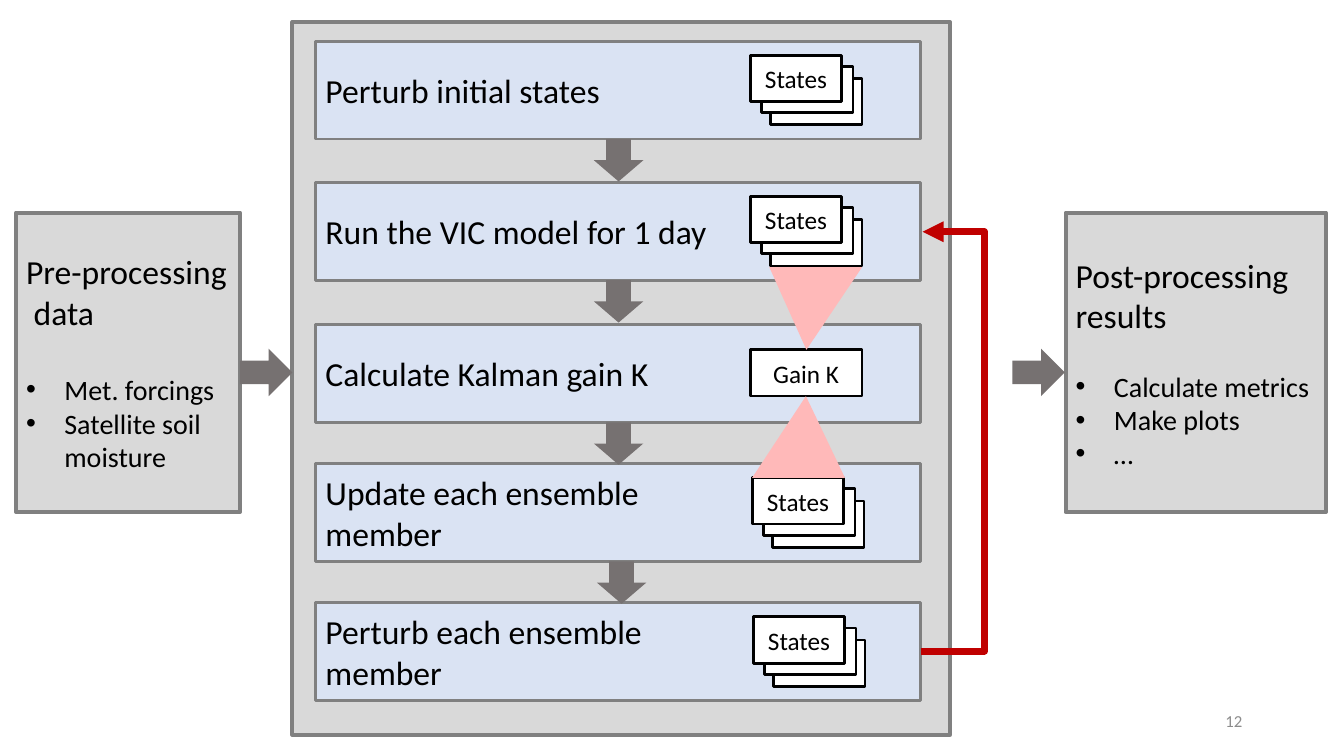
from lxml import etree
from pptx import Presentation
from pptx import util as u
from pptx.dml.color import RGBColor
from pptx.enum import shapes, text
from pptx.oxml.ns import qn

PX = 9144  # EMU, 100 px to the inch
FONT = "Calibri"
COLORS = {
    "panel": "D9D9D9", "border": "808080", "step": "DAE3F3", "card": "FFFFFF",
    "ink": "000000", "arrow": "767171", "loop": "C00000", "funnel": "FFB9B9",
    "number": "8C8C8C",
}
SHAPE = shapes.MSO_SHAPE
ALIGN = text.PP_ALIGN

STEP_LEFT, STEP_WIDTH, STEP_HEIGHT = 313, 600, 97
# top of the step, wording, left of its stack of states
STEPS = [
    (41, "Perturb initial states", 744),
    (181, "Run the VIC model for 1 day", 744),
    (322, "Calculate Kalman gain K", None),
    (460, "Update each ensemble\nmember", 746),
    (598, "Perturb each ensemble\nmember", 747),
]
DOWN_ARROW_LEFTS = [589, 589, 589, 592]


def rgb(name):
    return RGBColor.from_string(COLORS[name])


class Diagram:
    def __init__(self, slide):
        self.shapes = slide.shapes

    def format_paragraph(self, paragraph, size, color="ink", align=ALIGN.LEFT):
        paragraph.alignment = align
        for run in paragraph.runs:
            run.font.name = FONT
            run.font.size = u.Pt(size)
            run.font.color.rgb = rgb(color)

    def shape(self, kind, left, top, width, height, fill, border=None, weight=2):
        part = self.shapes.add_shape(kind, *(n * PX for n in (left, top, width, height)))
        part.shadow.inherit = False
        part.fill.solid()
        part.fill.fore_color.rgb = rgb(fill)
        if border:
            part.line.color.rgb = rgb(border)
            part.line.width = u.Pt(weight)
        else:
            part.line.fill.background()
        return part

    def box(self, left, top, width, height, fill, border, weight=2,
            words="", size=24, align=ALIGN.LEFT):
        part = self.shape(SHAPE.RECTANGLE, left, top, width, height, fill, border, weight)
        part.text_frame.text = words
        for paragraph in part.text_frame.paragraphs:
            self.format_paragraph(paragraph, size, align=align)
        return part

    def bullet(self, frame, words):
        paragraph = frame.add_paragraph()
        paragraph.text = words
        self.format_paragraph(paragraph, 20)
        properties = paragraph._p.get_or_add_pPr()
        properties.set("marL", str(38 * PX))
        properties.set("indent", str(-38 * PX))
        etree.SubElement(properties, qn("a:buFont")).set("typeface", "Arial")
        etree.SubElement(properties, qn("a:buChar")).set("char", "•")
        return paragraph

    def side_panel(self, left, width, heading, items, gap):
        """Grey panel with a heading and, gap points below it, bullets."""
        panel = self.box(left, 211, width, 297, "panel", "border", 3, heading)
        bullets = [self.bullet(panel.text_frame, item) for item in items]
        bullets[0].space_before = u.Pt(gap)

    def card(self, left, top, width=91, words=""):
        self.box(left, top, width, 46, "card", "ink", words=words, size=18,
                 align=ALIGN.CENTER)

    def states(self, left, top):
        """Three overlapping cards, the front one labelled."""
        self.card(left + 20, top + 23)
        self.card(left + 11, top + 11)
        self.card(left, top, words="States")

    def funnel(self, left, top, width, height, apex, rotation=0):
        triangle = self.shape(SHAPE.ISOSCELES_TRIANGLE, left, top, width, height, "funnel")
        triangle.adjustments[0] = apex
        triangle.rotation = rotation

    def loop(self, start, end, reach):
        """Elbow arrow that swings right to reach before coming back to end."""
        arrow = self.shapes.add_connector(
            shapes.MSO_CONNECTOR.ELBOW, *(n * PX for n in (*start, *end)))
        arrow.line.color.rgb = rgb("loop")
        arrow.line.width = u.Pt(5)
        bend = round((reach - start[0]) / (end[0] - start[0]) * 100000)
        properties = arrow._element.spPr
        guides = properties.find(qn("a:prstGeom")).get_or_add_avLst()
        guide = etree.SubElement(guides, qn("a:gd"))
        guide.set("name", "adj1")
        guide.set("fmla", f"val {bend}")
        etree.SubElement(arrow.line._get_or_add_ln(), qn("a:tailEnd")).set("type", "triangle")
        etree.SubElement(properties, qn("a:effectLst"))

    def page_number(self, number):
        label = self.shapes.add_textbox(*(n * PX for n in (942, 695, 300, 40)))
        frame = label.text_frame
        frame.word_wrap = True
        frame.vertical_anchor = text.MSO_ANCHOR.MIDDLE
        frame.text = number
        self.format_paragraph(frame.paragraphs[0], 12, "number", ALIGN.RIGHT)


def main():
    deck = Presentation()
    deck.slide_width, deck.slide_height = u.Inches(13.33), u.Inches(7.5)
    diagram = Diagram(deck.slides.add_slide(deck.slide_layouts[6]))

    diagram.side_panel(16, 222, "Pre-processing\v data",
                       ["Met. forcings", "Satellite soil moisture"], 29)
    diagram.box(290, 22, 652, 707, "panel", "border", 3)
    for top, words, stack_left in STEPS:
        diagram.box(STEP_LEFT, top, STEP_WIDTH, STEP_HEIGHT, "step", "border", words=words)
        if stack_left:
            diagram.states(stack_left, top + 14)
        else:
            diagram.card(744, top + 25, 111, "Gain K")
    for (top, _, _), left in zip(STEPS, DOWN_ARROW_LEFTS):
        diagram.shape(SHAPE.DOWN_ARROW, left, top + STEP_HEIGHT, 49, 42, "arrow")

    diagram.side_panel(1057, 258, "Post-processing results",
                       ["Calculate metrics", "Make plots", "…"], 24)
    for left in (238, 1004):
        diagram.shape(SHAPE.RIGHT_ARROW, left, 346, 52, 47, "arrow")
    diagram.loop((913, 646), (915, 230), 976)
    diagram.funnel(763, 265, 92, 82, 0.6, 180)
    diagram.funnel(746, 393, 92, 81, 0.58)
    diagram.page_number("12")
    deck.save("out.pptx")


if __name__ == "__main__":
    main()
